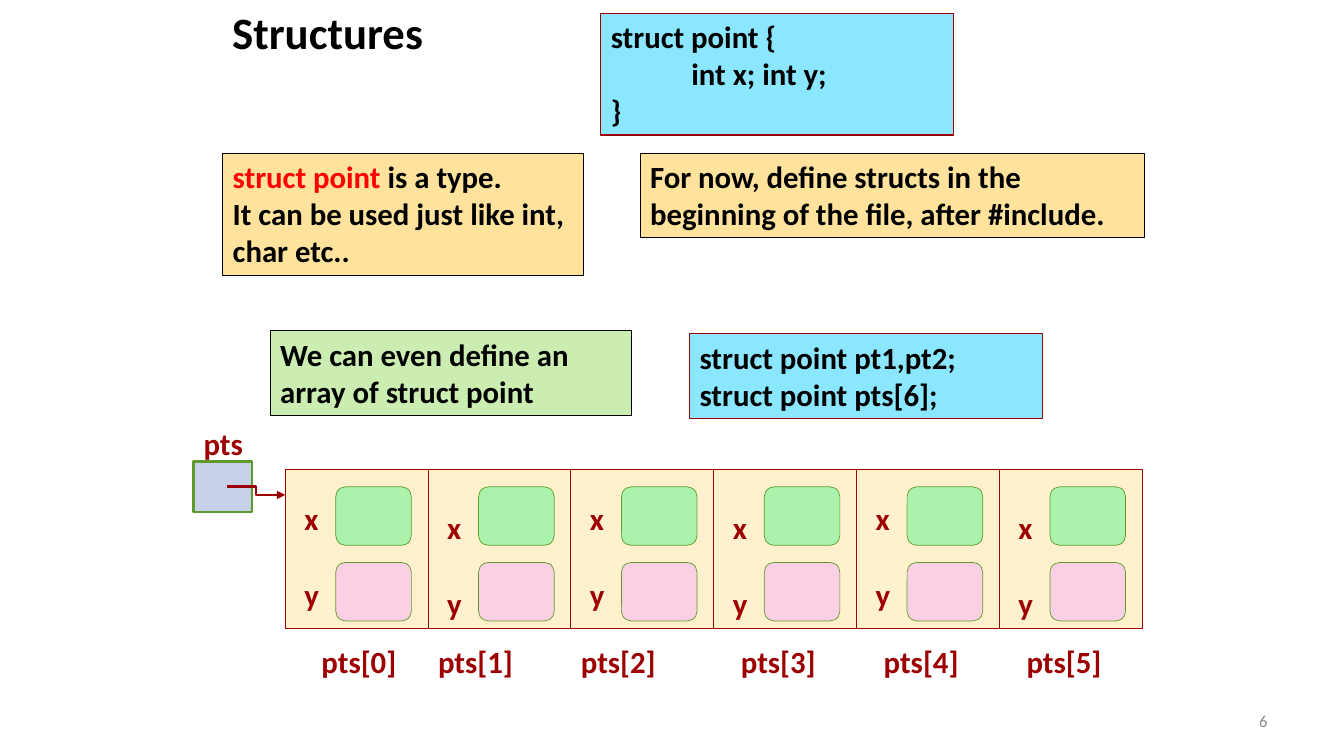
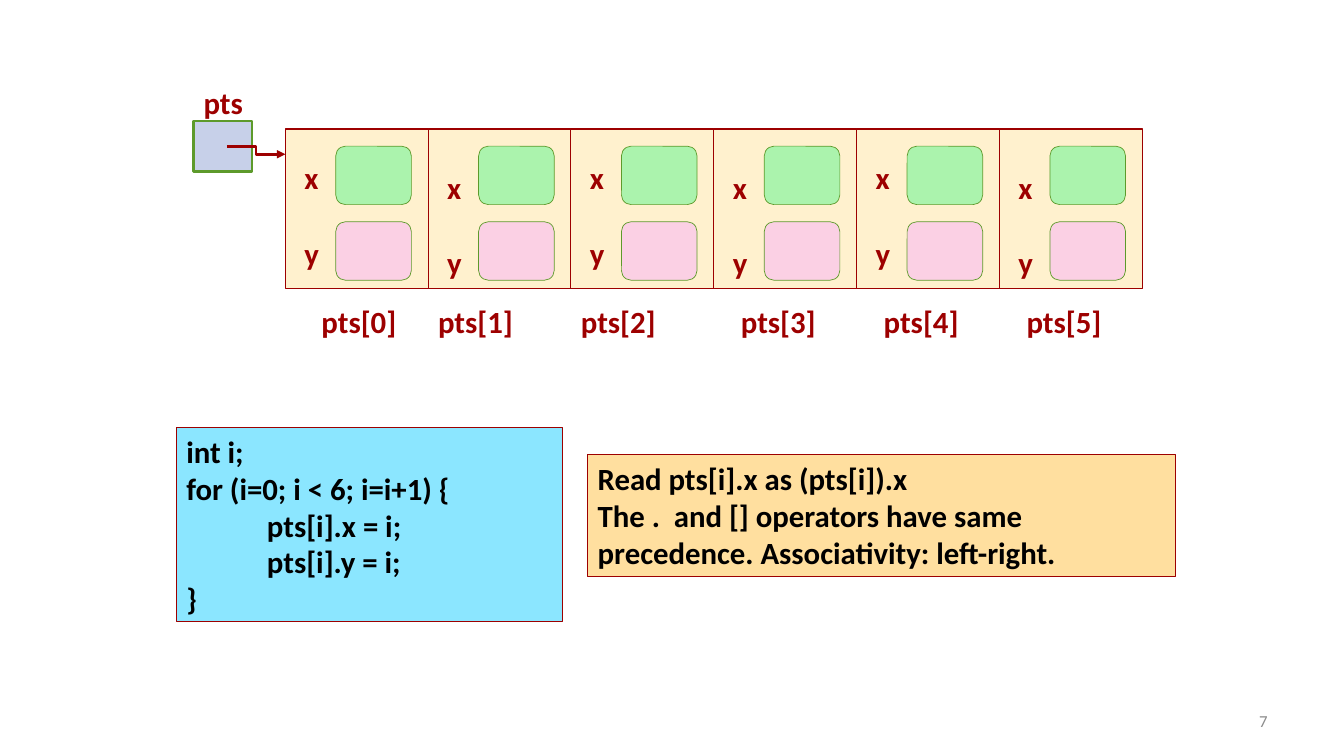
from lxml.etree import SubElement
from pptx import Presentation
from pptx.dml.color import RGBColor
from pptx.enum.shapes import MSO_CONNECTOR, MSO_SHAPE
from pptx.enum.text import MSO_ANCHOR, PP_ALIGN
from pptx.oxml.ns import qn
from pptx.util import Inches, Pt

COLOURS = {
    "black": "000000", "red": "FF0000", "maroon": "9D0000", "grey": "8C8C8C",
    "code": "8BE6FF", "note": "FFE39D", "rule": "FFDF9F", "remark": "CCEDB1",
    "cell": "FFF1CE", "x": "ABF3AD", "y": "FBD0E4", "pointer": "C7D0E9",
    "green": "5D9A2B",
}
BODY = {"name": "Calibri", "size": Pt(22), "bold": True}
TITLE = {**BODY, "size": Pt(32)}
NUMBER = {**BODY, "size": Pt(12), "bold": False}
CELL_COUNT = 6
CELL_PITCH = 8.5 / CELL_COUNT
INDEX_OFFSETS = (0.26, 0, 0, 0.17, 0.17, 0.17)


def colour(name):
    """Return the named colour."""
    return RGBColor.from_string(COLOURS[name])


def write(box, paras, style=BODY, ink="black", align=PP_ALIGN.LEFT, anchor=MSO_ANCHOR.TOP, wrap=True):
    """Fill a box with paragraphs; a tuple holds (text, colour) spans, a leading tab indents."""
    frame = box.text_frame
    for name, value in {"word_wrap": wrap, "vertical_anchor": anchor}.items():
        setattr(frame, name, value)
    for index, spans in enumerate(paras):
        para = frame.paragraphs[0] if index == 0 else frame.add_paragraph()
        para.alignment = align
        if isinstance(spans, str):
            if spans.startswith("\t"):
                para._p.get_or_add_pPr().set("marL", str(Inches(0.8)))
            spans = ((spans.strip(), ink),)
        for text, span_ink in spans:
            span = para.add_run()
            span.text = text
            for name, value in style.items():
                setattr(span.font, name, value)
            span.font.color.rgb = colour(span_ink)


def add_text(shapes, left, top, width, height, text, **options):
    """Add one line of text without a frame."""
    box = shapes.add_textbox(Inches(left), Inches(top), Inches(width), Inches(height))
    write(box, [text], **options)


def add_label(shapes, left, top, width, text):
    """Add a maroon label of the array diagram."""
    add_text(shapes, left, top, width, 0.47, text, ink="maroon", wrap=False)


def add_box(shapes, left, top, width, height, fill, line, weight=0.75, kind=MSO_SHAPE.RECTANGLE):
    """Add a filled, outlined shape."""
    box = shapes.add_shape(kind, Inches(left), Inches(top), Inches(width), Inches(height))
    box.shadow.inherit = False
    box.fill.solid()
    box.fill.fore_color.rgb = colour(fill)
    box.line.color.rgb = colour(line)
    box.line.width = Pt(weight)
    return box


def add_arrow(shapes, left, top, width, height):
    """Add a bent arrow from the top left to the bottom right of its box."""
    arrow = shapes.add_connector(
        MSO_CONNECTOR.ELBOW, Inches(left), Inches(top), Inches(left + width), Inches(top + height))
    arrow.line.color.rgb = colour("maroon")
    arrow.line.width = Pt(2)
    SubElement(arrow.line._get_or_add_ln(), qn("a:tailEnd"), type="triangle")
    SubElement(arrow._element.spPr, qn("a:effectLst"))


def add_cell(shapes, left, top, index):
    """Draw one struct of the array with its two fields and its index."""
    add_box(shapes, left, top, CELL_PITCH, 1.58, "cell", "maroon")
    label_drop = 0.25 if index % 2 == 0 else 0.34
    for row, field in enumerate("xy"):
        row_top = top + 0.75 * row
        add_box(shapes, left + 0.5, row_top + 0.17, 0.75, 0.58, field, "green", 0.5,
                MSO_SHAPE.ROUNDED_RECTANGLE)
        add_label(shapes, left + 0.09, row_top + label_drop, 0.34, field)
    add_label(shapes, left + INDEX_OFFSETS[index], top + 1.67, 0.95, f"pts[{index}]")


def add_array(page, left, top):
    """Draw the pointer and the array of structs as one group."""
    shapes = page.shapes.add_group_shape().shapes
    add_label(shapes, left, top, 0.59, "pts")
    for index in range(CELL_COUNT):
        add_cell(shapes, left + 0.91 + CELL_PITCH * index, top + 0.5, index)
    add_box(shapes, left, top + 0.42, 0.58, 0.5, "pointer", "green", 2)
    add_arrow(shapes, left + 0.33, top + 0.67, 0.58, 0.08)


def add_page(deck, number, array_top, panels):
    """Add a slide with its text panels, array diagram and number."""
    page = deck.slides.add_slide(deck.slide_layouts[6])
    for place, paras in panels:
        write(add_box(page.shapes, *place), paras)
    add_array(page, 1.92, array_top)
    add_text(page.shapes, 9.56, 6.95, 3.11, 0.4, str(number), style=NUMBER, ink="grey",
             align=PP_ALIGN.RIGHT, anchor=MSO_ANCHOR.MIDDLE)
    return page


def add_structures_page(deck):
    """Build the slide that introduces structures."""
    page = add_page(deck, 6, 4.16, [
        ((5.96, 0.13, 3.5, 1.21, "code", "maroon"), ["struct point {", "\tint x; int y;", "}"]),
        ((6.84, 3.31, 3.5, 0.84, "code", "maroon"),
         ["struct point pt1,pt2;", "struct point pts[6];"]),
        ((2.21, 1.52, 3.58, 1.21, "note", "black"),
         [(("struct point ", "red"), ("is a type.", "black")),
          "It can be used just like int, char etc.."]),
        ((2.68, 3.28, 3.58, 0.84, "remark", "black"),
         ["We can even define an array of struct point"]),
        ((6.35, 1.52, 5, 0.84, "note", "black"),
         ["For now, define structs in the beginning of the file, after #include."]),
    ])
    add_text(page.shapes, 1.79, 0, 2.92, 0.63, "Structures", style=TITLE, align=PP_ALIGN.CENTER)


def add_loop_page(deck):
    """Build the slide that fills the array in a loop."""
    add_page(deck, 7, 0.78, [
        ((1.75, 4.24, 3.83, 1.93, "code", "maroon"),
         ["int i;", "for (i=0; i < 6; i=i+1) {", "\tpts[i].x = i;", "\tpts[i].y = i;", "}"]),
        ((5.83, 4.51, 5.83, 1.21, "rule", "maroon", 0.5),
         ["Read pts[i].x as (pts[i]).x",
          "The .  and [] operators have same precedence. Associativity: left-right."]),
    ])


def main():
    """Build and save the deck."""
    deck = Presentation()
    for name, value in {"slide_width": Inches(13.33), "slide_height": Inches(7.5)}.items():
        setattr(deck, name, value)
    add_structures_page(deck)
    add_loop_page(deck)
    deck.save("out.pptx")


if __name__ == "__main__":
    main()
